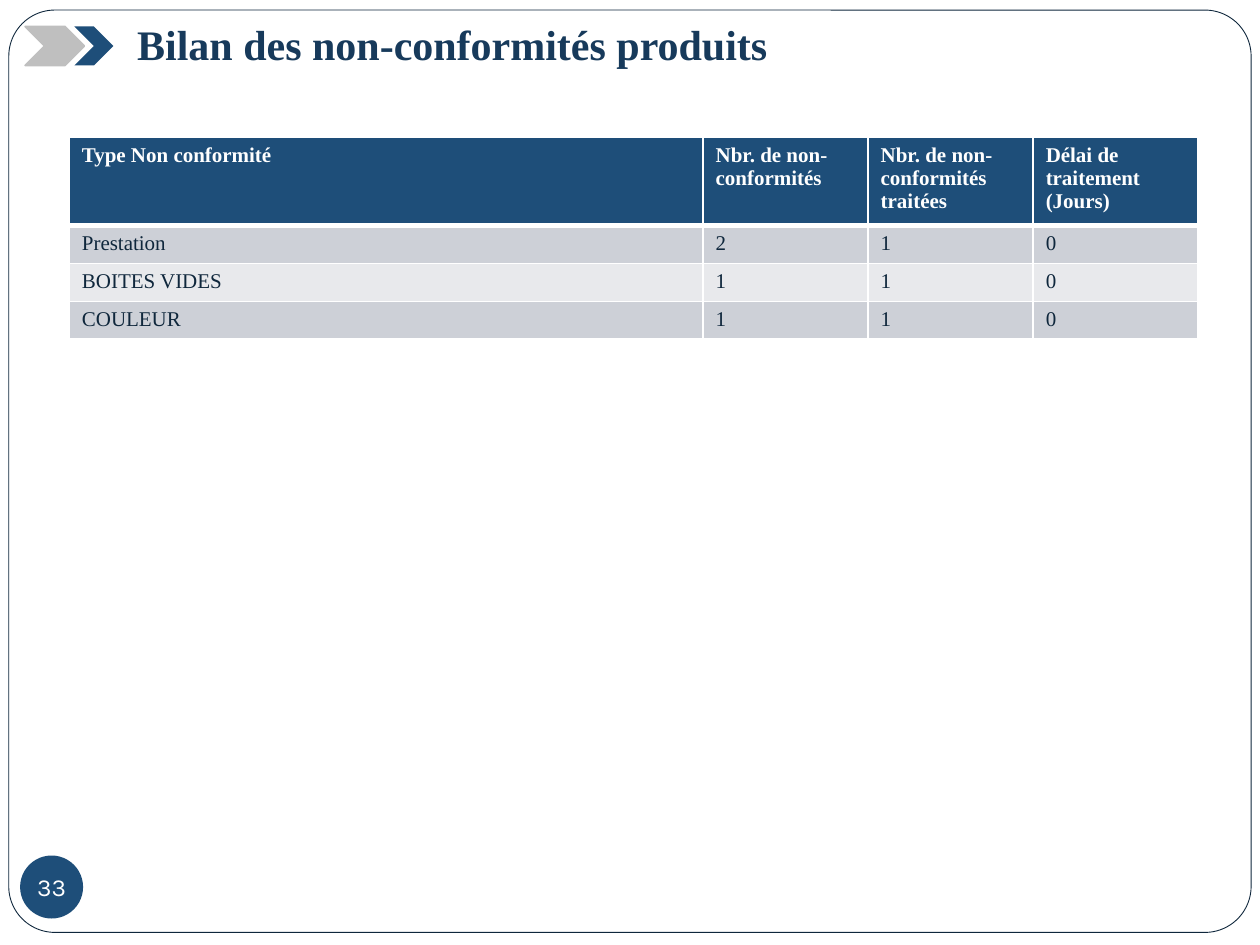
import pptx
import pptx.util
import pptx.dml.color
import pptx.enum.shapes
import pptx.enum.text
import pptx.oxml
import pptx.oxml.ns

Inches, Pt = pptx.util.Inches, pptx.util.Pt
MSO_SHAPE = pptx.enum.shapes.MSO_SHAPE

TITLE = "Bilan des non-conformités produits"
PAGE_NUMBER = "33"
ROWS = [
    ("Type Non conformité", "Nbr. de non-conformités",
     "Nbr. de non-conformités traitées", "Délai de traitement (Jours)"),
    ("Prestation", "2", "1", "0"),
    ("BOITES VIDES", "1", "1", "0"),
    ("COULEUR", "1", "1", "0"),
]

THEME = {
    "white": "FFFFFF", "ink": "0F273C", "title": "173A5B", "accent": "1E4E79",
    "grey": "BFBFBF", "bands": ("CDD0D7", "E8E9EC"),
    "serif": "Times New Roman", "sans": "Karla",
    "title_size": 24, "number_size": 14, "table_size": 12,
}

SLIDE_WIDTH, SLIDE_HEIGHT = 10, 7.5
TABLE_LEFT, TABLE_TOP = 0.55, 1.09
COLUMN_WIDTHS = [5.03] + [1.31] * 3
ROW_HEIGHTS = [0.69] + [0.3] * (len(ROWS) - 1)


def rgb(value):
    return pptx.dml.color.RGBColor.from_string(value)


def write(text_frame, text, color, **font_values):
    paragraph = text_frame.paragraphs[0]
    run = paragraph.add_run()
    run.text = text
    for name, value in font_values.items():
        setattr(run.font, name, value)
    run.font.color.rgb = rgb(color)
    return paragraph


def add_filled(slide, kind, box, fill, line=None, line_width=1):
    shape = slide.shapes.add_shape(kind, *map(Inches, box))
    shape.shadow.inherit = False
    shape.fill.solid()
    shape.fill.fore_color.rgb = rgb(fill)
    if line:
        shape.line.color.rgb = rgb(line)
        shape.line.width = Pt(line_width)
    else:
        shape.line.fill.background()
    return shape


def set_borders(cell, widths):
    """Draw white borders; widths maps a side (L, R, T, B) to points."""
    properties = cell._tc.get_or_add_tcPr()
    for side, width in widths.items():
        properties.append(pptx.oxml.parse_xml(
            f'<a:ln{side} {pptx.oxml.ns.nsdecls("a")} w="{Pt(width)}"><a:solidFill>'
            f'<a:srgbClr val="{THEME["white"]}"/></a:solidFill></a:ln{side}>'))


def add_frame(slide):
    frame = add_filled(slide, MSO_SHAPE.ROUNDED_RECTANGLE, (0.07, 0.08, 9.86, 7.32),
                       THEME["white"], THEME["ink"], 0.5)
    frame.adjustments[0] = 0.05


def add_title(slide):
    box = slide.shapes.add_textbox(*map(Inches, (0.99, 0.1, 7.79, 0.5)))
    box.text_frame.word_wrap = True
    write(box.text_frame, TITLE, THEME["title"], name=THEME["serif"],
          size=Pt(THEME["title_size"]), bold=True)
    add_filled(slide, MSO_SHAPE.CHEVRON, (0.2, 0.21, 0.47, 0.31),
               THEME["grey"], THEME["grey"])
    add_filled(slide, MSO_SHAPE.CHEVRON, (0.59, 0.21, 0.31, 0.31), THEME["accent"])


def add_page_number(slide):
    badge = add_filled(slide, MSO_SHAPE.OVAL, (0.16, 6.79, 0.5, 0.5), THEME["accent"])
    text_frame = badge.text_frame
    layout = {"margin_left": 0, "margin_right": 0, "margin_top": 0, "margin_bottom": 0,
              "word_wrap": False, "vertical_anchor": pptx.enum.text.MSO_ANCHOR.MIDDLE}
    for name, value in layout.items():
        setattr(text_frame, name, value)
    paragraph = write(text_frame, PAGE_NUMBER, THEME["white"], name=THEME["sans"],
                      size=Pt(THEME["number_size"]))
    paragraph.alignment = pptx.enum.text.PP_ALIGN.CENTER


def add_results_table(slide):
    table = slide.shapes.add_table(
        len(ROWS), len(COLUMN_WIDTHS), Inches(TABLE_LEFT), Inches(TABLE_TOP),
        Inches(sum(COLUMN_WIDTHS)), Inches(sum(ROW_HEIGHTS))).table
    for column, width in zip(table.columns, COLUMN_WIDTHS):
        column.width = Inches(width)
    for row, height in zip(table.rows, ROW_HEIGHTS):
        row.height = Inches(height)
    for row_index, texts in enumerate(ROWS):
        header = row_index == 0
        fill = THEME["accent"] if header else THEME["bands"][(row_index - 1) % 2]
        borders = {"L": 1, "R": 1, "T": 3 if row_index == 1 else 1, "B": 3 if header else 1}
        for column_index, text in enumerate(texts):
            cell = table.cell(row_index, column_index)
            set_borders(cell, borders)
            cell.fill.solid()
            cell.fill.fore_color.rgb = rgb(fill)
            write(cell.text_frame, text, THEME["white" if header else "ink"],
                  name=THEME["serif"], size=Pt(THEME["table_size"]), bold=header)


def main():
    presentation = pptx.Presentation()
    presentation.slide_width = Inches(SLIDE_WIDTH)
    presentation.slide_height = Inches(SLIDE_HEIGHT)
    slide = presentation.slides.add_slide(presentation.slide_layouts[6])
    add_frame(slide)
    add_title(slide)
    add_page_number(slide)
    add_results_table(slide)
    presentation.save("out.pptx")


if __name__ == "__main__":
    main()
